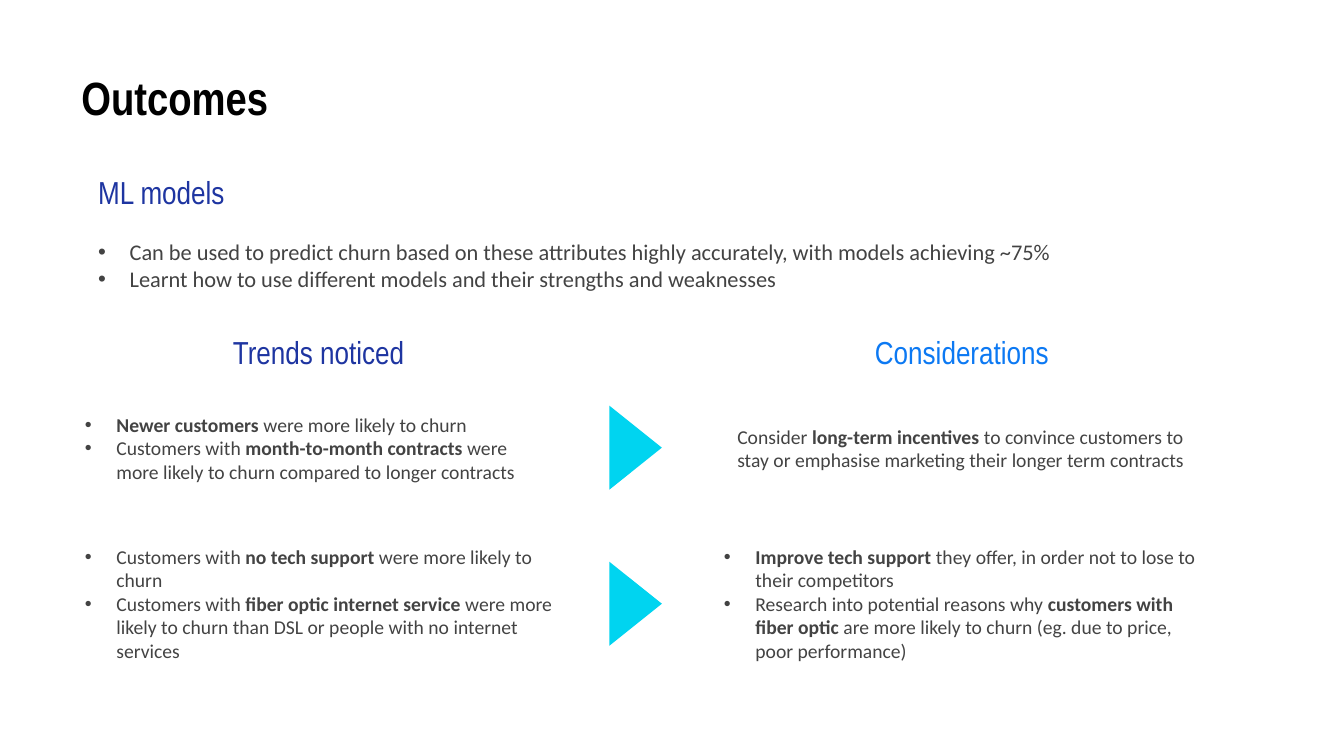
"""Build the Outcomes slide: model results, churn trends and considerations."""
from lxml import etree
from pptx import Presentation
from pptx import util as u
from pptx.dml.color import RGBColor
from pptx.enum import shapes, text
from pptx.oxml import ns

BLACK = RGBColor(0x00, 0x00, 0x00)
NAVY = RGBColor(0x1E, 0x35, 0xA1)
BLUE = RGBColor(0x0C, 0x79, 0xF3)
GREY = RGBColor(0x43, 0x43, 0x43)
CYAN = RGBColor(0x00, 0xD4, 0xF0)

LEFT, WIDE = 51, 353
INDENT = 22.5
HEAD_TOP, HEAD_HIGH = 232, 38

STYLES = {
    "title": dict(name="Arial Narrow", size=33.3, color=BLACK, bold=True, inset=7.2),
    "navy": dict(name="Arial Narrow", size=22.7, color=NAVY, bold=False, inset=9.6),
    "blue": dict(name="Arial Narrow", size=22.7, color=BLUE, bold=False, inset=9.6),
    "large": dict(name="Calibri", size=16, color=GREY, bold=False, inset=9.6),
    "body": dict(name="Calibri", size=14, color=GREY, bold=False, inset=9.6),
}

HEADS = [
    ("Outcomes", "title", False, (LEFT, 44, 861, 50)),
    ("ML models", "navy", False, (60.5, 118, 764, HEAD_HIGH)),
    ("Trends noticed", "navy", True, (LEFT, HEAD_TOP, WIDE, HEAD_HIGH)),
    ("Considerations", "blue", True, (544.5, HEAD_TOP, 285, HEAD_HIGH)),
]

LISTS = [
    ("large", (60.5, 156.5, 816, 65.5), [
        "Can be used to predict churn based on these attributes highly accurately, "
        "with models achieving ~75%",
        "Learnt how to use different models and their strengths and weaknesses",
    ]),
    ("body", (LEFT, 278, WIDE, 84), [
        "**Newer customers **were more likely to churn",
        "Customers with **month-to-month contracts **were more likely to churn "
        "compared to longer contracts",
    ]),
    ("body", (LEFT, 389, WIDE, 84), [
        "Customers with **no tech support **were more likely to churn",
        "Customers with **fiber optic internet service **were more likely to churn "
        "than DSL or people with no internet services",
    ]),
    ("body", (507.5, 378.5, 358.5, 105), [
        "**Improve tech support **they offer, in order not to lose to their competitors",
        "Research into potential reasons why **customers with fiber optic** are more "
        "likely to churn (eg. due to price, poor performance)",
    ]),
]

ADVICE = ("Consider **long-term incentives **to convince customers to stay or "
          "emphasise marketing their longer term contracts")
ADVICE_BOX = (517, 288.5, 339, 63)

ARROW_LEFT, ARROW_WIDE, ARROW_HIGH = 424, 60, 37.5
ARROW_TOPS = (301, 412.5)


def bullet(para):
    """Give a paragraph a hanging round bullet."""
    props = para._p.get_or_add_pPr()
    props.set("marL", str(u.Pt(INDENT)))
    props.set("indent", str(-u.Pt(INDENT)))
    etree.SubElement(props, ns.qn("a:buFont")).set("typeface", "Arial")
    etree.SubElement(props, ns.qn("a:buChar")).set("char", "•")


def write(slide, box, lines, style, center=False, marks=False):
    """Add a text box whose ** pairs enclose bold words."""
    look = STYLES[style]
    frame = slide.shapes.add_textbox(*map(u.Pt, box)).text_frame
    frame.word_wrap = True
    frame.vertical_anchor = text.MSO_ANCHOR.MIDDLE
    for side in ("left", "top", "right", "bottom"):
        setattr(frame, "margin_" + side, u.Pt(look["inset"]))
    for row, line in enumerate(lines):
        para = frame.add_paragraph() if row else frame.paragraphs[0]
        para.alignment = text.PP_ALIGN.CENTER if center else text.PP_ALIGN.LEFT
        if marks:
            bullet(para)
        for part, words in enumerate(line.split("**")):
            if not words:
                continue
            run = para.add_run()
            run.text = words
            form = dict(name=look["name"], size=u.Pt(look["size"]),
                        bold=look["bold"] or part % 2 == 1)
            for key, value in form.items():
                setattr(run.font, key, value)
            run.font.color.rgb = look["color"]


def arrow(slide, top):
    """Add a triangle that points right."""
    box = (ARROW_LEFT, top, ARROW_WIDE, ARROW_HIGH)
    shape = slide.shapes.add_shape(
        shapes.MSO_SHAPE.ISOSCELES_TRIANGLE, *map(u.Pt, box))
    shape.rotation = 90
    shape.shadow.inherit = False
    shape.fill.solid()
    shape.fill.fore_color.rgb = CYAN
    shape.line.fill.background()


def main():
    """Lay out and save the slide."""
    deck = Presentation()
    deck.slide_width, deck.slide_height = u.Pt(960), u.Pt(540)
    slide = deck.slides.add_slide(deck.slide_layouts[6])
    for words, style, center, box in HEADS:
        write(slide, box, [words], style, center)
    for style, box, lines in LISTS:
        write(slide, box, lines, style, marks=True)
    write(slide, ADVICE_BOX, [ADVICE], "body")
    for top in ARROW_TOPS:
        arrow(slide, top)
    deck.save("out.pptx")


if __name__ == "__main__":
    main()
